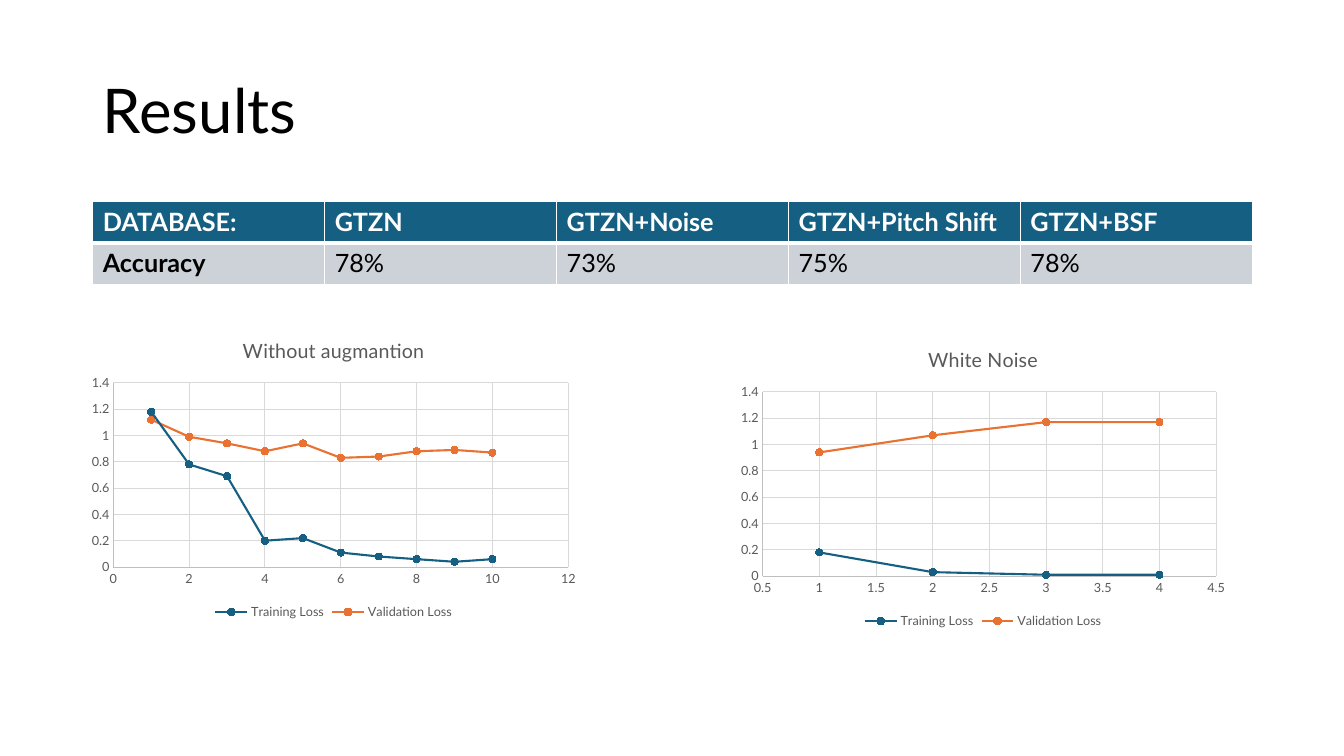
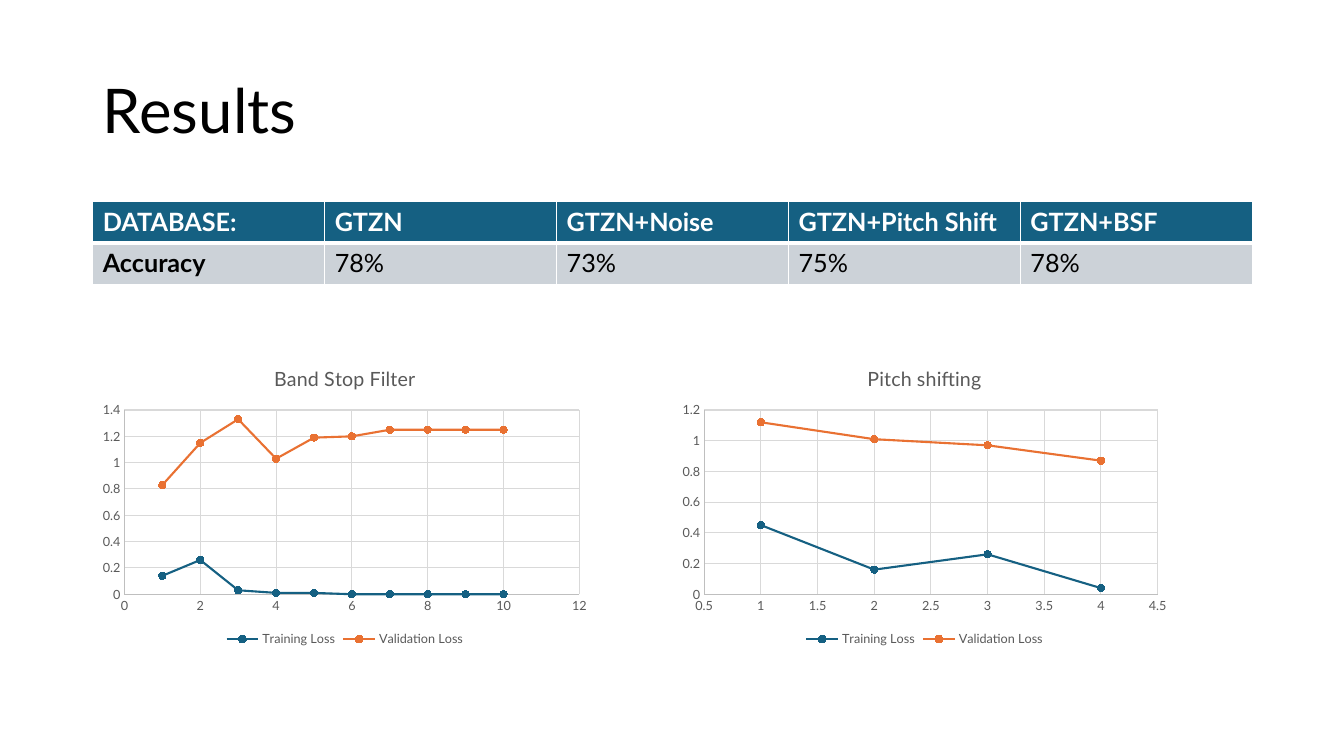
"""Build two result slides, each with an accuracy table and two loss charts."""
from lxml.etree import SubElement
from pptx import Presentation
from pptx.chart.data import XyChartData
from pptx.dml.color import RGBColor
from pptx.enum.chart import XL_CHART_TYPE, XL_LEGEND_POSITION, XL_MARKER_STYLE, XL_TICK_MARK
from pptx.enum.text import MSO_ANCHOR, PP_ALIGN
from pptx.oxml.ns import qn
from pptx.util import Inches, Pt

FONT = "Lato"
BLACK = RGBColor(0x00, 0x00, 0x00)
WHITE = RGBColor(0xFF, 0xFF, 0xFF)
BLUE = RGBColor(0x15, 0x60, 0x82)
ORANGE = RGBColor(0xE9, 0x71, 0x32)
PALE = RGBColor(0xCC, 0xD2, 0xD8)
GRAY = RGBColor(0x59, 0x59, 0x59)
AXIS = RGBColor(0xBF, 0xBF, 0xBF)
GRID = RGBColor(0xD9, 0xD9, 0xD9)

TITLE = "Results"
ACCURACY = [
    ["DATABASE:", "GTZN", "GTZN+Noise", "GTZN+Pitch Shift", "GTZN+BSF"],
    ["Accuracy", "78%", "73%", "75%", "78%"],
]
SERIES = [("Training Loss", BLUE), ("Validation Loss", ORANGE)]
TEN_EPOCHS = {"minimum_scale": 0, "maximum_scale": 12, "major_unit": 2}
FOUR_EPOCHS = {"minimum_scale": 0.5, "maximum_scale": 4.5, "major_unit": 0.5}
SLIDES = [
    [
        {"title": "Without augmantion", "at": (0.81, 3.19), "epochs": TEN_EPOCHS, "top": 1.4,
         "losses": [(1.18, 0.78, 0.69, 0.2, 0.22, 0.11, 0.08, 0.06, 0.04, 0.06),
                    (1.12, 0.99, 0.94, 0.88, 0.94, 0.83, 0.84, 0.88, 0.89, 0.87)]},
        {"title": "White Noise", "at": (7.25, 3.28), "epochs": FOUR_EPOCHS, "top": 1.4,
         "losses": [(0.18, 0.03, 0.01, 0.01), (0.94, 1.07, 1.17, 1.17)]},
    ],
    [
        {"title": "Pitch shifting", "at": (6.67, 3.46), "epochs": FOUR_EPOCHS, "top": 1.2,
         "losses": [(0.45, 0.16, 0.26, 0.04), (1.12, 1.01, 0.97, 0.87)]},
        {"title": "Band Stop Filter", "at": (0.92, 3.46), "epochs": TEN_EPOCHS, "top": 1.4,
         "losses": [(0.14, 0.26, 0.03, 0.01, 0.01, 0, 0, 0, 0, 0),
                    (0.83, 1.15, 1.33, 1.03, 1.19, 1.2, 1.25, 1.25, 1.25, 1.25)]},
    ],
]

LEFT, WIDTH = Inches(0.92), Inches(11.5)
ROW_HEIGHT = Inches(0.41)
CHART_SIZE = Inches(5), Inches(3)


def set_all(target, values):
    for name, value in values.items():
        setattr(target, name, value)


def style_font(font, size, color, bold=False):
    set_all(font, {"name": FONT, "size": Pt(size), "bold": bold})
    font.color.rgb = color


def style_line(line, color, width):
    line.color.rgb = color
    line.width = Pt(width)


def add_title(page):
    box = page.shapes.title
    set_all(box, {"left": LEFT, "top": Inches(0.4), "width": WIDTH, "height": Inches(1.45)})
    box.text_frame.text = TITLE
    box.text_frame.vertical_anchor = MSO_ANCHOR.MIDDLE
    para = box.text_frame.paragraphs[0]
    set_all(para, {"alignment": PP_ALIGN.LEFT, "line_spacing": 0.9})
    style_font(para.runs[0].font, 44, BLACK)


def add_borders(cell, widths):
    properties = cell._tc.get_or_add_tcPr()
    for side, width in widths.items():
        border = SubElement(properties, qn(f"a:ln{side}"), w=str(Pt(width)))
        fill = SubElement(border, qn("a:solidFill"))
        SubElement(fill, qn("a:srgbClr"), val=str(WHITE))


def add_accuracy(page):
    rows, columns = len(ACCURACY), len(ACCURACY[0])
    table = page.shapes.add_table(
        rows, columns, LEFT, Inches(2), WIDTH, ROW_HEIGHT * rows).table
    for row, texts in enumerate(ACCURACY):
        header = row == 0
        for column, text in enumerate(texts):
            cell = table.cell(row, column)
            add_borders(cell, {"L": 1, "R": 1, "T": 1 if header else 3, "B": 3 if header else 1})
            cell.fill.solid()
            cell.fill.fore_color.rgb = BLUE if header else PALE
            cell.text = text
            span = cell.text_frame.paragraphs[0].runs[0]
            style_font(span.font, 18, WHITE if header else BLACK, header or column == 0)


def style_axis(axis, scale):
    set_all(axis, scale)
    set_all(axis, {"has_major_gridlines": True, "major_tick_mark": XL_TICK_MARK.NONE,
                   "minor_tick_mark": XL_TICK_MARK.NONE})
    style_font(axis.tick_labels.font, 9, GRAY)
    style_line(axis.format.line, AXIS, 0.75)
    style_line(axis.major_gridlines.format.line, GRID, 0.75)


def add_loss_chart(page, content):
    data = XyChartData()
    for (name, _), losses in zip(SERIES, content["losses"]):
        points = data.add_series(name)
        for epoch, loss in enumerate(losses, 1):
            points.add_data_point(epoch, loss)
    left, top = content["at"]
    chart = page.shapes.add_chart(
        XL_CHART_TYPE.XY_SCATTER_LINES, Inches(left), Inches(top), *CHART_SIZE, data).chart
    style_font(chart.font, 10, BLACK)

    chart.has_title = True
    chart.chart_title.include_in_layout = False
    chart.chart_title.text_frame.text = content["title"]
    style_font(chart.chart_title.text_frame.paragraphs[0].runs[0].font, 14, GRAY)

    chart.has_legend = True
    set_all(chart.legend, {"position": XL_LEGEND_POSITION.BOTTOM, "include_in_layout": False})
    style_font(chart.legend.font, 9, GRAY)

    style_axis(chart.category_axis, content["epochs"])
    style_axis(chart.value_axis,
               {"minimum_scale": 0, "maximum_scale": content["top"], "major_unit": 0.2})

    plot = chart.plots[0]
    plot.vary_by_categories = False
    for series, (_, color) in zip(plot.series, SERIES):
        series.smooth = False
        style_line(series.format.line, color, 1.5)
        set_all(series.marker, {"style": XL_MARKER_STYLE.CIRCLE, "size": 5})
        series.marker.format.fill.solid()
        series.marker.format.fill.fore_color.rgb = color
        style_line(series.marker.format.line, color, 0.75)


def main():
    deck = Presentation()
    set_all(deck, {"slide_width": Inches(13.33), "slide_height": Inches(7.5)})
    title_only = deck.slide_layouts[5]
    for charts in SLIDES:
        page = deck.slides.add_slide(title_only)
        add_title(page)
        add_accuracy(page)
        for content in charts:
            add_loss_chart(page, content)
    deck.save("out.pptx")


if __name__ == "__main__":
    main()
